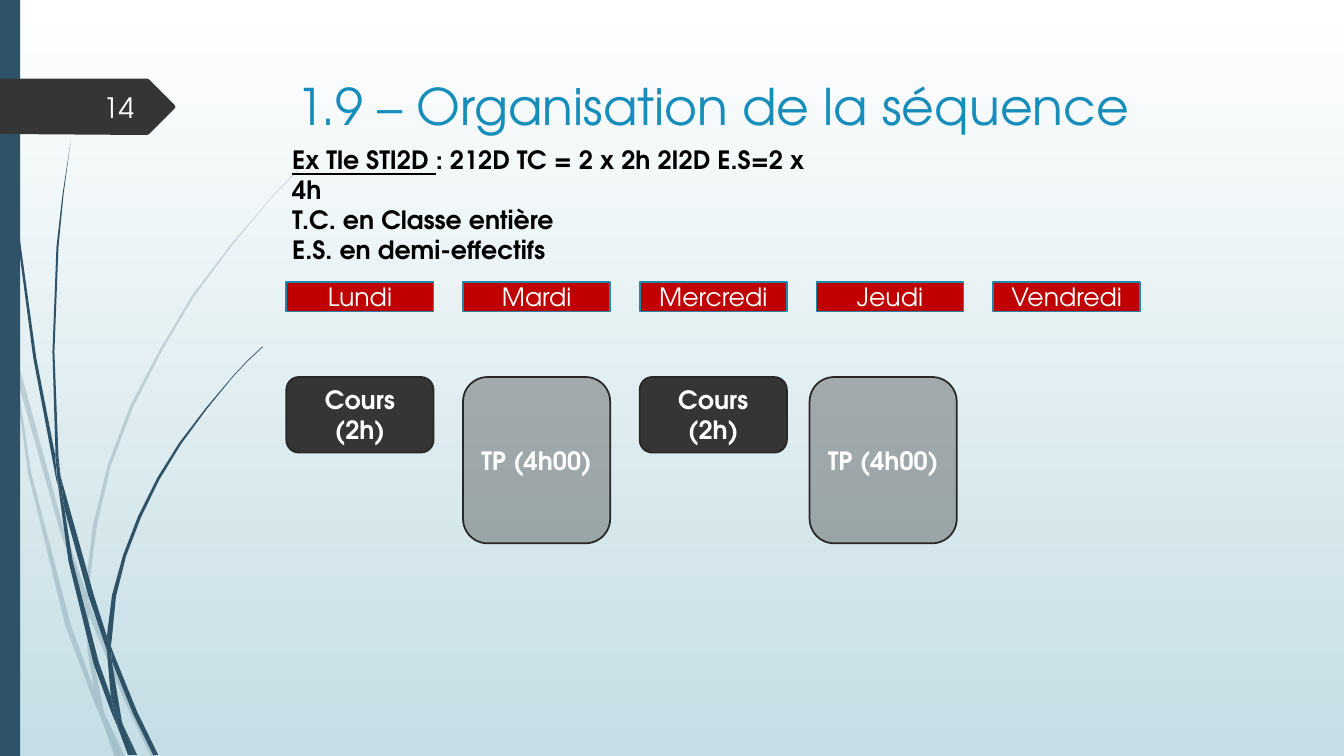
"""Builds the weekly organisation slide of a teaching sequence."""
from lxml import etree
from pptx import Presentation
from pptx.dml.color import RGBColor
from pptx.enum import shapes, text
from pptx.oxml.ns import qn
from pptx.util import Inches, Pt

FONT = "TeX Gyre Adventor"
WHITE = RGBColor(0xFF, 0xFF, 0xFF)
BLACK = RGBColor(0x00, 0x00, 0x00)
PALE_BLUE = RGBColor(0xC5, 0xDE, 0xE5)
TITLE_BLUE = RGBColor(0x17, 0x8D, 0xBB)
EDGE_BLUE = RGBColor(0x24, 0x85, 0xAA)
DEEP_BLUE = RGBColor(0x2E, 0x53, 0x69)
CHARCOAL = RGBColor(0x35, 0x35, 0x35)
DARK_EDGE = RGBColor(0x27, 0x27, 0x27)
RED = RGBColor(0xC0, 0x00, 0x00)
PAGE_WHITE = RGBColor(0xFE, 0xFF, 0xFF)

GRID_LEFT, DAY_PITCH, DAY_WIDTH = 2.84, 1.7525, 1.46
DAYS = ["Lundi", "Mardi", "Mercredi", "Jeudi", "Vendredi"]
LESSONS = [
    ("Cours (2h)", GRID_LEFT, 0.75, 100),
    ("TP (4h00)", GRID_LEFT + DAY_PITCH, 1.65, 37),
    ("Cours (2h)", GRID_LEFT + 2 * DAY_PITCH, 0.75, 100),
    ("TP (4h00)", 8.03, 1.65, 37),
]
NOTES = [
    [("Ex Tle STI2D ", True), (": 212D TC = 2 x 2h 2I2D E.S=2 x 4h", False)],
    [("T.C. en Classe entière", False)],
    [("E.S. en demi-effectifs", False)],
]
PAGE_ARROW = ("0,0.78 1.46,0.78 1.48,0.79 1.73,1.04 1.74,1.06 1.73,1.08 1.48,1.33 "
              "1.46,1.34 0,1.33")
PALE_BLADES = [
    "0.11,3.5 0.09,3.22 0,2.82 0,2.99 0.1,3.44",
    "0.58,5.22 0.84,5.99 0.85,5.86 0.62,5.2 0.14,3.45 0.17,3.76",
    "0.92,6.07 0.88,5.96 0.88,6.1 1.23,6.94 1.5,7.51 1.55,7.51 1.27,6.92",
    "1.19,7.51 1.24,7.51 1.05,7.11",
    "0.93,6.83 0.7,6.19 0.31,4.69 0.17,3.76 0.11,3.5 0.28,4.7 0.65,6.21 0.92,6.93 "
    "1.01,7.14 0.99,7.07",
    "0.84,5.99 0.87,6.46 0.93,6.83 0.96,6.92 1.05,7.11 1.03,7.06 0.91,6.46 0.88,6.1 0.88,6.08",
    "0.88,5.84 0.96,5.22 1.1,4.62 1.32,4.04 1.6,3.49 1.92,2.95 2.29,2.45 2.68,1.98 2.9,1.75 "
    "3.12,1.54 3.12,1.53 2.89,1.75 2.68,1.97 2.28,2.44 1.9,2.94 1.58,3.48 1.29,4.03 1.07,4.61 "
    "0.92,5.22 0.85,5.84 0.85,5.86 0.88,5.96",
    "1.01,7.14 1.14,7.51 1.19,7.51",
    "0.88,6.08 0.88,6.1 0.88,5.96 0.85,5.86 0.84,5.99",
    "0.96,6.92 0.93,6.83 0.99,7.07 1.01,7.14 1.19,7.51 1.05,7.11",
]
DARK_BLADES = [
    "0.07,1.1 0.17,2.33 0.33,3.55 0.56,4.77 0.57,4.81 0.55,4.57 0.55,4.53 0.36,3.55 "
    "0.19,2.32 0.08,1.09 0.05,0.48 0.04,0 0.03,0 0.04,0.48",
    "0.88,5.92 1.06,6.45 1.06,6.31 0.93,5.9 0.6,4.72 0.64,5.05",
    "1.13,6.49 1.1,6.41 1.11,6.56 1.32,7.08 1.52,7.49 1.57,7.49 1.36,7.06",
    "1.1,6.91 0.98,6.57 0.72,5.56 0.64,5.05 0.57,4.77 0.68,5.57 0.93,6.59 1.11,7.08 "
    "1.17,7.22 1.16,7.17",
    "0.6,4.72 0.58,4.53 0.54,3.49 0.58,2.45 0.63,1.93 0.7,1.41 0.62,1.93 0.56,2.45 "
    "0.52,3.49 0.55,4.49",
    "1.33,7.49 1.36,7.49 1.22,7.19",
    "0.57,4.77 0.64,5.05 0.6,4.72 0.55,4.49 0.55,4.53",
    "1.11,6.33 1.15,5.92 1.25,5.52 1.4,5.13 1.58,4.76 1.8,4.4 2.05,4.06 2.31,3.74 2.45,3.59 "
    "2.61,3.44 2.6,3.44 2.45,3.58 2.31,3.73 2.04,4.05 1.78,4.39 1.56,4.74 1.37,5.12 1.22,5.51 "
    "1.11,5.91 1.06,6.31 1.1,6.41",
    "1.17,7.22 1.27,7.49 1.31,7.49",
    "1.06,6.45 1.1,6.91 1.16,7.06 1.22,7.19 1.21,7.16 1.11,6.56 1.09,6.51",
    "1.06,6.45 1.09,6.51 1.11,6.56 1.1,6.41 1.06,6.31",
    "1.16,7.06 1.1,6.91 1.16,7.17 1.17,7.22 1.3,7.49 1.33,7.49 1.22,7.19",
]


def paint(shape, fill, opacity=100, edge=None):
    """Give a shape a flat fill and an optional edge."""
    shape.shadow.inherit = False
    shape.fill.solid()
    shape.fill.fore_color.rgb = fill
    if opacity < 100:
        color = next(shape.element.spPr.iter(qn("a:srgbClr")))
        etree.SubElement(color, qn("a:alpha"), val=str(opacity * 1000))
    if edge is None:
        shape.line.fill.background()
    else:
        shape.line.color.rgb = edge
        shape.line.width = Pt(1.25)


def style(para, size, color, bold=False, align=text.PP_ALIGN.LEFT):
    """Set the alignment and font of a paragraph."""
    para.alignment = align
    para.font.name, para.font.size = FONT, Pt(size)
    para.font.bold, para.font.color.rgb = bold, color


def add_outline(page, outline, fill, opacity=100):
    """Draw a closed outline given as x,y pairs in inches."""
    corners = [tuple(Inches(float(n)) for n in pair.split(",")) for pair in outline.split()]
    builder = page.shapes.build_freeform(*corners[0])
    builder.add_line_segments(corners[1:], close=True)
    paint(builder.convert_to_shape(), fill, opacity)


def add_box(page, kind, place, label, fill, edge, bold=False, opacity=100):
    """Add a preset shape with a centred label."""
    box = page.shapes.add_shape(kind, *map(Inches, place))
    paint(box, fill, opacity, edge)
    if label:
        box.text_frame.text = label
        box.text_frame.word_wrap = True
        box.text_frame.vertical_anchor = text.MSO_ANCHOR.MIDDLE
        style(box.text_frame.paragraphs[0], 18, WHITE, bold, text.PP_ALIGN.CENTER)


def add_title(page, label):
    """Move and format the title placeholder."""
    title = page.shapes.title
    title.left, title.top, title.width, title.height = map(Inches, (2.84, 0.68, 9.75, 0.73))
    title.text_frame.text = label
    title.text_frame.auto_size = text.MSO_AUTO_SIZE.NONE
    title.text_frame.vertical_anchor = text.MSO_ANCHOR.MIDDLE
    style(title.text_frame.paragraphs[0], 36, TITLE_BLUE)


def add_page_number(page, number):
    """Write the page number on the arrow."""
    frame = page.shapes.add_textbox(*map(Inches, (0.58, 0.86, 0.85, 0.4))).text_frame
    frame.text, frame.word_wrap = number, True
    frame.vertical_anchor = text.MSO_ANCHOR.MIDDLE
    style(frame.paragraphs[0], 20, PAGE_WHITE, align=text.PP_ALIGN.RIGHT)


def add_notes(page):
    """Write the bold lines under the title."""
    frame = page.shapes.add_textbox(*map(Inches, (2.8, 1.38, 5.63, 1.01))).text_frame
    frame.word_wrap, frame.auto_size = True, text.MSO_AUTO_SIZE.SHAPE_TO_FIT_TEXT
    for i, spans in enumerate(NOTES):
        para = frame.add_paragraph() if i else frame.paragraphs[0]
        style(para, 18, BLACK, bold=True)
        for words, underline in spans:
            span = para.add_run()
            span.text, span.font.underline = words, underline


def add_background(page):
    """Fill the page from white down to pale blue."""
    fill = page.background.fill
    fill.gradient()
    fill.gradient_angle = 270
    for stop, color, position in zip(fill.gradient_stops, (WHITE, PALE_BLUE), (0, 1)):
        stop.color.rgb, stop.position = color, position


def main():
    """Build and save the deck."""
    deck = Presentation()
    deck.slide_width, deck.slide_height = Inches(13.33), Inches(7.5)
    page = deck.slides.add_slide(deck.slide_layouts[5])
    add_background(page)
    for blades, opacity in ((PALE_BLADES, 20), (DARK_BLADES, 100)):
        for blade in blades:
            add_outline(page, blade, DEEP_BLUE, opacity)
    kinds = shapes.MSO_SHAPE
    add_box(page, kinds.RECTANGLE, (0, 0, 0.2, 7.5), "", DEEP_BLUE, None)
    add_outline(page, PAGE_ARROW, CHARCOAL)
    add_title(page, "1.9 – Organisation de la séquence")
    add_page_number(page, "14")
    add_notes(page)
    for label, left, height, opacity in LESSONS:
        add_box(page, kinds.ROUNDED_RECTANGLE, (left, 3.74, DAY_WIDTH, height), label,
                CHARCOAL, DARK_EDGE, True, opacity)
    for i, day in enumerate(DAYS):
        add_box(page, kinds.RECTANGLE, (GRID_LEFT + i * DAY_PITCH, 2.8, DAY_WIDTH, 0.29), day,
                RED, EDGE_BLUE)
    deck.save("out.pptx")


if __name__ == "__main__":
    main()
